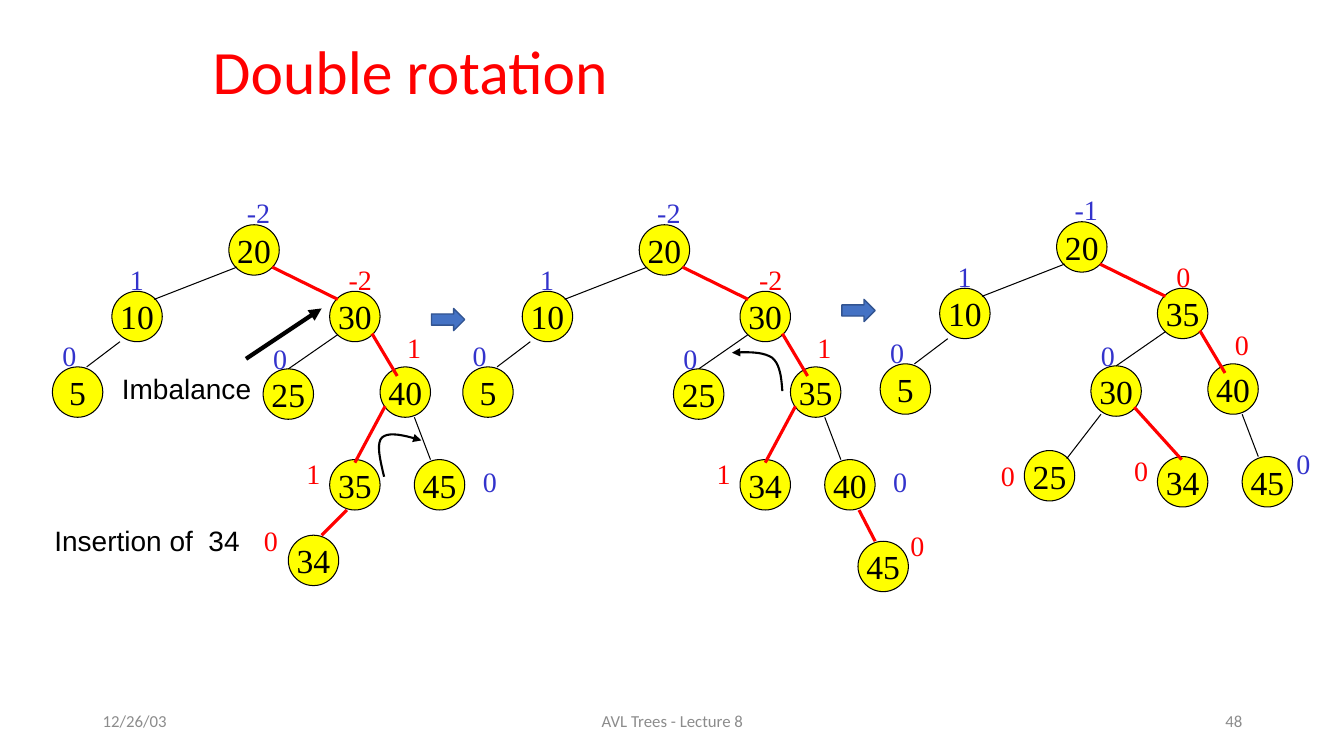
from lxml.etree import SubElement
from pptx import Presentation
from pptx.dml.color import RGBColor
from pptx.enum.shapes import MSO_CONNECTOR as LINK, MSO_SHAPE as FORM
from pptx.enum.text import MSO_ANCHOR as ANCHOR, PP_ALIGN as ALIGN
from pptx.oxml.ns import qn
from pptx.util import Inches, Pt

RED = RGBColor(0xFF, 0x00, 0x00)
BLUE = RGBColor(0x33, 0x33, 0xCC)
BLACK = RGBColor(0x00, 0x00, 0x00)
YELLOW = RGBColor(0xFF, 0xFF, 0x00)
GREY = RGBColor(0x8C, 0x8C, 0x8C)
STEEL = RGBColor(0x44, 0x72, 0xC4)
NAVY = RGBColor(0x32, 0x54, 0x91)

TIMES, ARIAL, CALIBRI = "Times New Roman", "Arial", "Calibri"

SPOTS = [(2.27, 2.23), (1.11, 2.89), (3.27, 2.89), (2.61, 3.66),
         (3.77, 3.64), (0.52, 3.64), (3.27, 4.56), (4.11, 4.56)]
MARKS = [(2.35, 1.89, BLUE), (1.19, 2.56, BLUE), (3.36, 2.56, RED),
         (2.61, 3.34, BLUE), (3.94, 3.23, RED), (0.52, 3.31, BLUE),
         (2.94, 4.48, RED)]
EDGES = [(2.35, 2.65, 1.53, 2.97, BLACK), (2.7, 2.65, 3.35, 2.97, RED),
         (3.35, 3.32, 2.86, 3.66, BLACK), (3.69, 3.31, 3.94, 3.73, RED),
         (1.19, 3.39, 0.86, 3.64, BLACK), (4.11, 4.14, 4.27, 4.56, BLACK)]
LEFT_EDGE = (3.82, 4.03, 3.52, 4.59, RED)

TREES = [
    dict(shift=(0, 0), keys=[20, 10, 30, 25, 40, 5, 35, 45],
         scores=[-2, 1, -2, 0, 1, 0, 1],
         more_keys=[(34, 2.86, 5.31)],
         more_scores=[(0, 4.69, 4.56, BLUE), (0, 2.52, 5.14, RED)],
         more_edges=[LEFT_EDGE, (3.44, 5.06, 3.19, 5.31, RED)]),
    dict(shift=(4.07, 0), keys=[20, 10, 30, 25, 35, 5, 34, 40],
         scores=[-2, 1, -2, 0, 1, 0, 1],
         more_keys=[(45, 4.44, 5.37)],
         more_scores=[(0, 4.69, 4.56, BLUE), (0, 4.86, 5.19, RED)],
         more_edges=[LEFT_EDGE, (4.45, 5.06, 4.61, 5.37, RED)]),
    dict(shift=(8.21, -0.03), keys=[20, 10, 35, 30, 40, 5, 34, 45],
         scores=[-1, 1, 0, 0, 0, 0, 0],
         more_keys=[(25, 1.95, 4.5)],
         more_scores=[(0, 4.55, 4.41, BLUE), (0, 1.62, 4.53, RED)],
         more_edges=[(3.04, 4.07, 3.51, 4.59, RED),
                     (2.71, 4.14, 2.37, 4.58, BLACK)]),
]

TURNS = [
    [(3.81, 4.73), (3.77, 4.56), (3.73, 4.4), (3.79, 4.34),
     (3.86, 4.28), (4.02, 4.32), (4.18, 4.37)],
    [(7.76, 3.88), (7.75, 3.75), (7.74, 3.62), (7.66, 3.55),
     (7.57, 3.49), (7.42, 3.49), (7.26, 3.5)],
]


def write(shape, text, size=20, font=TIMES, color=BLACK, align=ALIGN.LEFT,
          anchor=ANCHOR.TOP, wrap=False, pitch=None):
    """Put formatted text in a shape."""
    frame = shape.text_frame
    frame.word_wrap = wrap
    frame.vertical_anchor = anchor
    frame.text = text
    para = frame.paragraphs[0]
    para.alignment = align
    para.line_spacing = pitch
    face = para.runs[0].font
    face.size, face.name, face.color.rgb = Pt(size), font, color


def label(slide, text, x, y, w=0.34, h=0.44, **style):
    """Add a text box."""
    box = slide.shapes.add_textbox(Inches(x), Inches(y), Inches(w), Inches(h))
    write(box, text, **style)


def solid(slide, form, x, y, w, h, fill, line, width):
    """Add a filled preset shape."""
    shape = slide.shapes.add_shape(form, Inches(x), Inches(y), Inches(w), Inches(h))
    shape.shadow.inherit = False
    shape.fill.solid()
    shape.fill.fore_color.rgb = fill
    shape.line.color.rgb = line
    shape.line.width = Pt(width)
    return shape


def node(slide, key, x, y):
    """Add a round tree node."""
    disc = solid(slide, FORM.OVAL, x, y, 0.5, 0.5, YELLOW, BLACK, 0.75)
    write(disc, str(key), size=24, align=ALIGN.CENTER, anchor=ANCHOR.MIDDLE)


def stroke(shape, color, width, head=False):
    """Style a line, with an arrowhead on request."""
    shape.line.color.rgb = color
    shape.line.width = Pt(width)
    if head:
        SubElement(shape.line._get_or_add_ln(), qn("a:tailEnd"), type="triangle")


def edge(slide, x1, y1, x2, y2, color, width, head=False):
    """Add a straight line."""
    link = slide.shapes.add_connector(
        LINK.STRAIGHT, Inches(x1), Inches(y1), Inches(x2), Inches(y2))
    stroke(link, color, width, head)
    SubElement(link._element.spPr, qn("a:effectLst"))


def bend(ends, t):
    """Give the point at t on a cubic curve."""
    parts = ((1 - t) ** 3, 3 * t * (1 - t) ** 2, 3 * t * t * (1 - t), t ** 3)
    return tuple(Inches(sum(p * e[axis] for p, e in zip(parts, ends)))
                 for axis in (0, 1))


def turn(slide, points, steps=10):
    """Add a curved arrow through two cubic spans."""
    path = [bend(points[i:i + 4], n / steps)
            for i in (0, 3) for n in range(1, steps + 1)]
    pen = slide.shapes.build_freeform(*bend(points[:4], 0))
    pen.add_line_segments(path, close=False)
    curve = pen.convert_to_shape()
    curve.shadow.inherit = False
    curve.fill.background()
    stroke(curve, BLACK, 1.5, head=True)


def tree(slide, shift, keys, scores, more_keys, more_scores, more_edges):
    """Draw one tree with its balance scores."""
    dx, dy = shift
    discs = [(key, *spot) for key, spot in zip(keys, SPOTS)] + more_keys
    for key, x, y in discs:
        node(slide, key, x + dx, y + dy)
    for x1, y1, x2, y2, color in EDGES + more_edges:
        edge(slide, x1 + dx, y1 + dy, x2 + dx, y2 + dy, color,
             2.25 if color == RED else 0.75)
    notes = [(score, *mark) for score, mark in zip(scores, MARKS)] + more_scores
    for score, x, y, color in notes:
        label(slide, str(score), x + dx, y + dy,
              w=0.43 if score < 0 else 0.34, color=color)


def main():
    """Build and save the slide."""
    deck = Presentation()
    deck.slide_width, deck.slide_height = Inches(13.33), Inches(7.5)
    slide = deck.slides.add_slide(deck.slide_layouts[5])

    title = slide.shapes.title
    title.left, title.top = Inches(2.01), Inches(0.11)
    title.width, title.height = Inches(8.5), Inches(1.25)
    write(title, "Double rotation", size=44, font=CALIBRI, color=RED,
          anchor=ANCHOR.MIDDLE, wrap=True, pitch=0.9)

    for text, x, w, align in [("12/26/03", 0.92, 3, ALIGN.LEFT),
                              ("AVL Trees - Lecture 8", 4.42, 4.5, ALIGN.CENTER),
                              ("48", 9.42, 3, ALIGN.RIGHT)]:
        label(slide, text, x, 6.95, w, 0.4, size=12, font=CALIBRI, color=GREY,
              align=align, anchor=ANCHOR.MIDDLE, wrap=True)

    for parts in TREES:
        tree(slide, **parts)
    label(slide, "Imbalance", 1.11, 3.64, 1.5, font=ARIAL, wrap=True)
    label(slide, "Insertion of  34", 0.44, 5.14, 2.08, font=ARIAL, wrap=True)
    edge(slide, 2.44, 3.56, 3.19, 3.06, BLACK, 3, head=True)
    for points in TURNS:
        turn(slide, points)
    for x, y in [(4.28, 3.06), (8.35, 2.97)]:
        solid(slide, FORM.RIGHT_ARROW, x, y, 0.33, 0.22, STEEL, NAVY, 1)

    deck.save("out.pptx")


if __name__ == "__main__":
    main()
